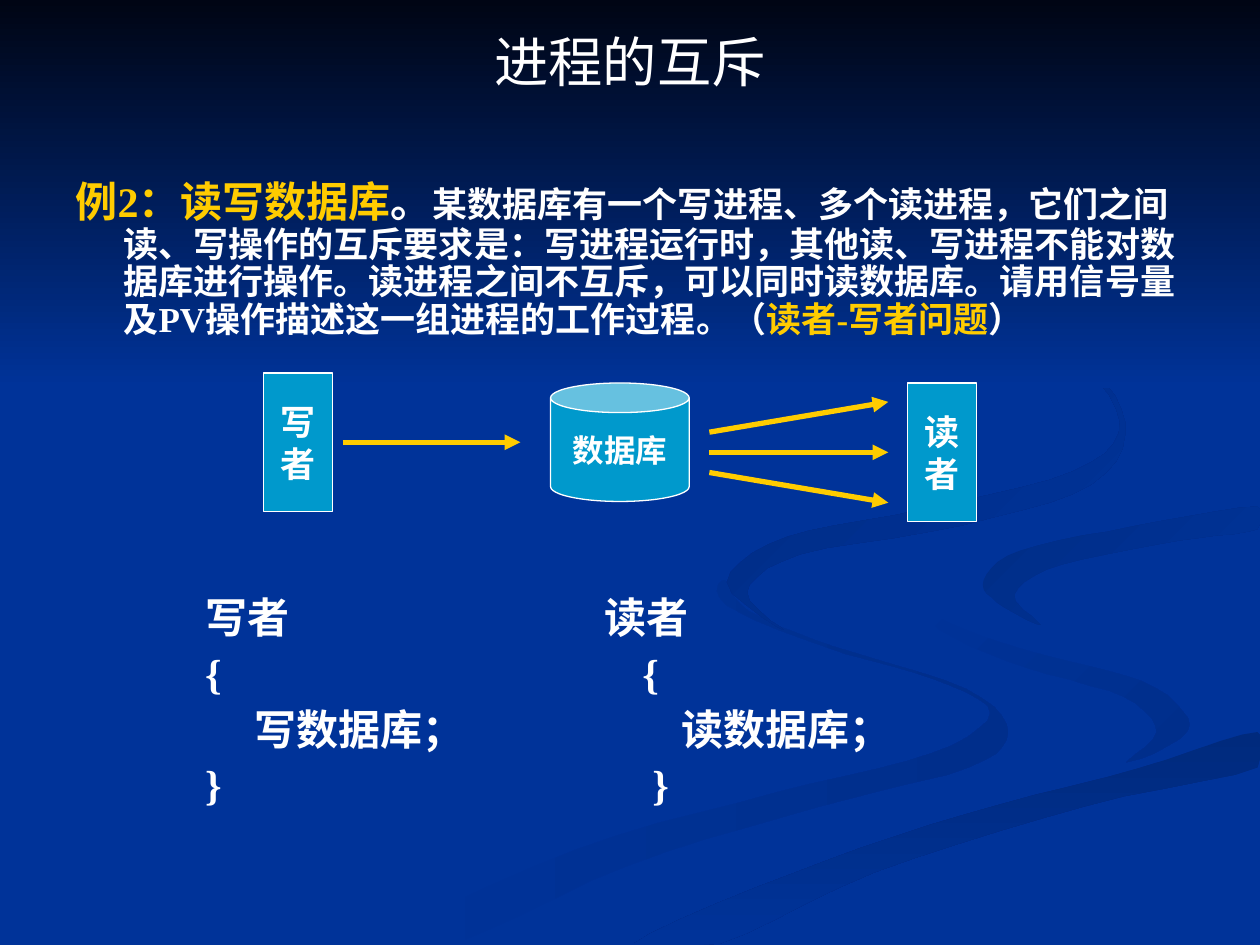
from dataclasses import dataclass

import pptx
import pptx.dml.color
import pptx.enum.shapes
import pptx.enum.text
import pptx.util
from lxml import etree
from pptx.oxml.ns import qn
from pptx.util import Inches, Pt

SHAPE = pptx.enum.shapes.MSO_SHAPE
ALIGN = pptx.enum.text.PP_ALIGN
ANCHOR = pptx.enum.text.MSO_ANCHOR
NAVY, WHITE, YELLOW, CYAN = "003399", "FFFFFF", "FFCC00", "0099CC"
LATIN, CHINESE = "Times New Roman", "Noto Sans CJK SC"
CURVE_STEPS = 5


@dataclass
class Ribbon:
    """A curved background band through a few points in inches."""
    start: str
    end: str
    angle: int
    points: list[tuple[float, float]]


@dataclass
class Node:
    kind: int
    left: float
    top: float
    width: float
    height: float
    size: int
    lines: list[str]


@dataclass
class Arrow:
    begin: tuple[float, float]
    end: tuple[float, float]


@dataclass
class CodeLine:
    text: str
    tabs: list[float]


RIBBONS = [
    Ribbon(NAVY, "002E8B", 0, [
        (5.75, 4.6), (5.76, 4.8), (6.54, 5.13), (7.41, 5.39), (7.86, 5.66), (7.39, 5.98),
        (6.16, 6.29), (4.58, 6.74), (3, 7.49), (3.61, 7.49), (4.99, 6.87), (6.51, 6.4),
        (7.69, 6.09), (8, 5.81), (7.67, 5.47), (6.61, 5.13), (5.94, 4.85)]),
    Ribbon(NAVY, "002E8B", 315, [
        (7.24, 4.64), (7.46, 5), (8.15, 5.3), (8.92, 5.53), (9.18, 5.81), (8.94, 6.05),
        (9.32, 5.89), (9.43, 5.7), (9.05, 5.4), (8.11, 5.15), (7.45, 4.9)]),
    Ribbon("002A7D", NAVY, 270, [
        (5.03, 7.49), (5.71, 7.49), (6.95, 6.92), (8.61, 6.4), (9.98, 6.09), (9.98, 5.81),
        (9.03, 6.1), (7.64, 6.47), (6.3, 6.93)]),
    Ribbon("002D86", NAVY, 315, [
        (7.81, 4.6), (7.91, 4.78), (8.26, 4.96), (8.05, 4.72), (8.43, 4.48), (9.36, 4.29),
        (9.98, 4.2), (9.98, 4.02), (8.98, 4.18), (8.1, 4.37)]),
    Ribbon("002B82", NAVY, 315, [
        (7.62, 2.33), (8.46, 2.79), (8.89, 3.35), (8.52, 3.74), (7.33, 4.04), (6.25, 4.26),
        (5.77, 4.62), (6.22, 5), (5.93, 4.7), (6.35, 4.4), (7.64, 4.17), (8.67, 3.84),
        (8.93, 3.35), (8.54, 2.83)]),
]

BODY_RUNS = [
    ("例2：读写数据库", 24, YELLOW),
    ("。", 24, WHITE),
    ("某数据库有一个写进程、多个读进程，它们之间读、写操作的互斥要求是：写进程运行时，"
     "其他读、写进程不能对数据库进行操作。读进程之间不互斥，可以同时读数据库。"
     "请用信号量及PV操作描述这一组进程的工作过程。（", 20, WHITE),
    ("读者-写者问题", 20, YELLOW),
    ("）", 20, WHITE),
]

NODES = [
    Node(SHAPE.CAN, 4.37, 3.04, 1.1, 0.94, 18, ["数据库"]),
    Node(SHAPE.RECTANGLE, 2.09, 2.96, 0.55, 1.1, 20, ["写", "者"]),
    Node(SHAPE.RECTANGLE, 7.2, 3.04, 0.55, 1.1, 20, ["读", "者"]),
]

ARROWS = [Arrow((2.72, 3.51), (4.13, 3.51))] + [
    Arrow((5.63, 3.59 + 0.16 * step), (7.05, 3.59 + 0.4 * step)) for step in (-1, 0, 1)]

CODE_LINES = [
    CodeLine("写者\t读者", [3.17]),
    CodeLine("{\t{", [3.47]),
    CodeLine("\t写数据库；\t读数据库；", [0.39, 3.78]),
    CodeLine("}\t}", [3.55]),
]


def rgb(value: str) -> pptx.dml.color.RGBColor:
    return pptx.dml.color.RGBColor.from_string(value)


def add_run(paragraph, text: str, size: int, color: str = WHITE, bold: bool = True,
            face: str = LATIN) -> None:
    run = paragraph.add_run()
    run.text = text
    run.font.size = Pt(size)
    run.font.bold = bold
    run.font.color.rgb = rgb(color)
    run.font.name = face
    etree.SubElement(run.font._element, qn("a:ea"), typeface=CHINESE)


def place(shape, left: float, top: float, width: float, height: float) -> None:
    shape.left, shape.top = Inches(left), Inches(top)
    shape.width, shape.height = Inches(width), Inches(height)
    shape.text_frame.auto_size = pptx.enum.text.MSO_AUTO_SIZE.NONE


def bring_to_front(shape) -> None:
    shape.element.getparent().append(shape.element)


def apply_gradient(shape, start: str, end: str, angle: int) -> None:
    shape.shadow.inherit = False
    shape.line.fill.background()
    shape.fill.gradient()
    shape.fill.gradient_angle = angle
    for stop, color in zip(shape.fill.gradient_stops, (start, end)):
        stop.color.rgb = rgb(color)


def smooth_outline(points: list[tuple[float, float]]) -> list[tuple[float, float]]:
    """Return a closed Catmull-Rom curve through the points."""
    outline = []
    for index in range(len(points)):
        corners = [points[(index + offset) % len(points)] for offset in (-1, 0, 1, 2)]
        for step in range(CURVE_STEPS):
            t = step / CURVE_STEPS
            outline.append(tuple(
                b + t / 2 * (c - a + t * (2 * a - 5 * b + 4 * c - d
                                          + t * (3 * (b - c) + d - a)))
                for a, b, c, d in zip(*corners)))
    return [(min(x, 10), min(y, 7.5)) for x, y in outline]


def draw_ribbon(slide, ribbon: Ribbon) -> None:
    outline = [(x * 100, y * 100) for x, y in smooth_outline(ribbon.points)]
    builder = slide.shapes.build_freeform(*outline[0], scale=Inches(0.01))
    builder.add_line_segments(outline[1:], close=True)
    apply_gradient(builder.convert_to_shape(), ribbon.start, ribbon.end, ribbon.angle)


def draw_backdrop(slide) -> None:
    slide.background.fill.solid()
    slide.background.fill.fore_color.rgb = rgb(NAVY)
    for ribbon in RIBBONS:
        draw_ribbon(slide, ribbon)
    sky = slide.shapes.add_shape(SHAPE.RECTANGLE, 0, 0, Inches(10), Inches(3.08))
    apply_gradient(sky, "000514", NAVY, 270)


def draw_node(slide, node: Node) -> None:
    shape = slide.shapes.add_shape(node.kind, Inches(node.left), Inches(node.top),
                                   Inches(node.width), Inches(node.height))
    shape.shadow.inherit = False
    shape.fill.solid()
    shape.fill.fore_color.rgb = rgb(CYAN)
    shape.line.color.rgb = rgb(WHITE)
    shape.line.width = Pt(0.75)
    frame = shape.text_frame
    frame.word_wrap = False
    frame.vertical_anchor = ANCHOR.MIDDLE
    for index, line in enumerate(node.lines):
        paragraph = frame.add_paragraph() if index else frame.paragraphs[0]
        paragraph.alignment = ALIGN.CENTER
        add_run(paragraph, line, node.size)


def draw_arrow(slide, arrow: Arrow) -> None:
    connector = slide.shapes.add_connector(
        pptx.enum.shapes.MSO_CONNECTOR.STRAIGHT,
        *(Inches(value) for value in arrow.begin + arrow.end))
    connector.line.color.rgb = rgb(YELLOW)
    connector.line.width = Pt(3)
    etree.SubElement(connector.line._get_or_add_ln(), qn("a:tailEnd"), type="triangle")
    etree.SubElement(connector.element.spPr, qn("a:effectLst"))


def fill_title(title) -> None:
    place(title, 0.75, 0.21, 8.5, 0.64)
    title.text_frame.vertical_anchor = ANCHOR.MIDDLE
    paragraph = title.text_frame.paragraphs[0]
    paragraph.alignment = ALIGN.CENTER
    paragraph.line_spacing = 0.8
    add_run(paragraph, "进程的互斥", 31, bold=False, face=CHINESE)


def fill_body(body) -> None:
    place(body, 0.5, 1.39, 9, 1.5)
    paragraph = body.text_frame.paragraphs[0]
    properties = paragraph._p.get_or_add_pPr()
    properties.set("marL", str(Inches(0.38)))
    properties.set("indent", str(-Inches(0.38)))
    etree.SubElement(properties, qn("a:buNone"))
    paragraph.line_spacing = 0.9
    paragraph.space_before = Pt(0)
    for text, size, color in BODY_RUNS:
        add_run(paragraph, text, size, color)


def draw_code(slide) -> None:
    box = slide.shapes.add_textbox(Inches(1.53), Inches(4.69), Inches(7.17), Inches(1.97))
    box.text_frame.word_wrap = True
    for index, line in enumerate(CODE_LINES):
        paragraph = box.text_frame.add_paragraph() if index else box.text_frame.paragraphs[0]
        tabs = etree.SubElement(paragraph._p.get_or_add_pPr(), qn("a:tabLst"))
        for position in line.tabs:
            etree.SubElement(tabs, qn("a:tab"), pos=str(Inches(position)), algn="l")
        paragraph.line_spacing = 0.9
        paragraph.space_before = Pt(6 if index else 0)
        add_run(paragraph, line.text, 24)


def main() -> None:
    presentation = pptx.Presentation()
    presentation.slide_width, presentation.slide_height = Inches(10), Inches(7.5)
    slide = presentation.slides.add_slide(presentation.slide_layouts[1])
    title, body = slide.shapes.title, slide.placeholders[1]
    draw_backdrop(slide)
    fill_body(body)
    fill_title(title)
    bring_to_front(body)
    bring_to_front(title)
    for node in NODES:
        draw_node(slide, node)
    for arrow in ARROWS:
        draw_arrow(slide, arrow)
    draw_code(slide)
    presentation.save("out.pptx")


if __name__ == "__main__":
    main()
